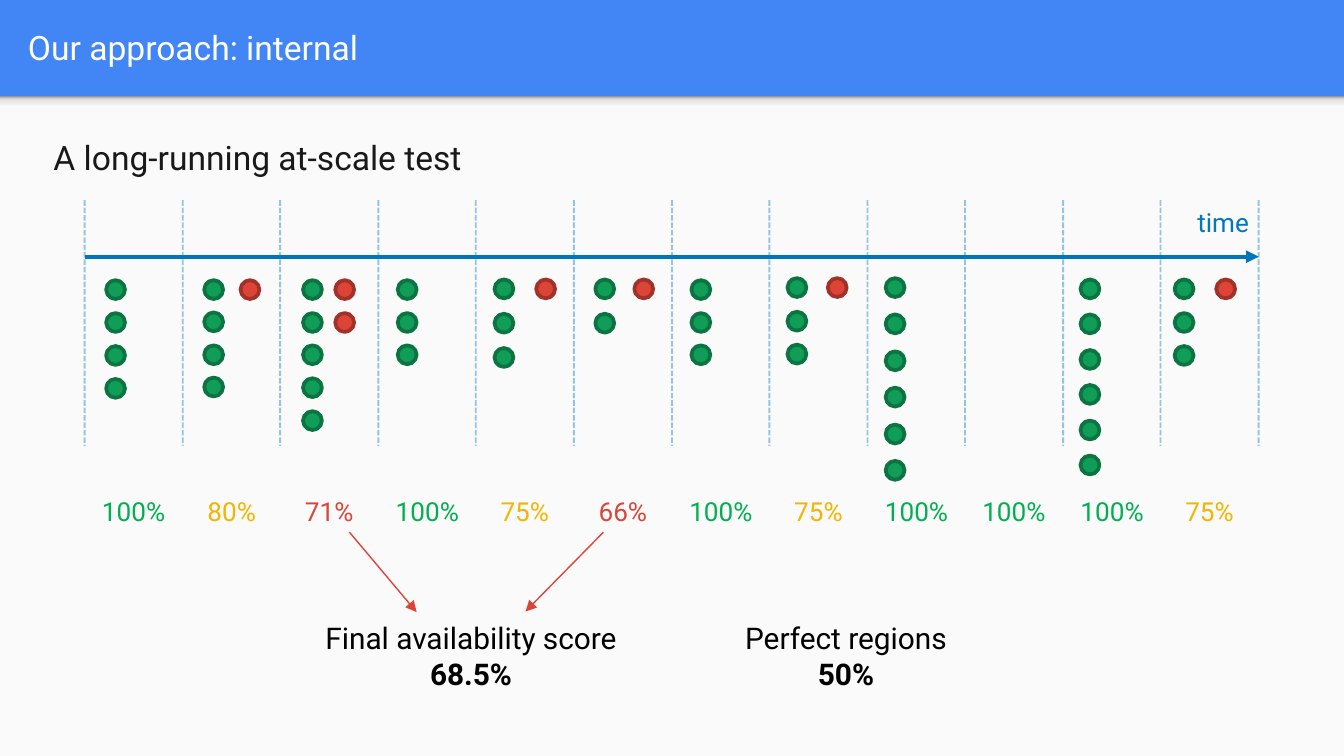
from dataclasses import dataclass

from lxml import etree
from pptx import Presentation
from pptx.dml.color import RGBColor
from pptx.enum.dml import MSO_LINE
from pptx.enum.shapes import MSO_CONNECTOR, MSO_SHAPE
from pptx.enum.text import MSO_ANCHOR, MSO_AUTO_SIZE, PP_ALIGN
from pptx.oxml.ns import qn
from pptx.shapes.autoshape import Shape
from pptx.shapes.connector import Connector
from pptx.slide import Slide
from pptx.util import Emu, Pt

RECTANGLE, OVAL = MSO_SHAPE.RECTANGLE, MSO_SHAPE.OVAL
STRAIGHT = MSO_CONNECTOR.STRAIGHT
DASH = MSO_LINE.SQUARE_DOT
LEFT, CENTER = PP_ALIGN.LEFT, PP_ALIGN.CENTER
TOP, MIDDLE = MSO_ANCHOR.TOP, MSO_ANCHOR.MIDDLE
FIT_SHAPE = MSO_AUTO_SIZE.SHAPE_TO_FIT_TEXT

EMU_PER_PX = 4572  # 200 px to the inch
SLIDE_WIDTH, SLIDE_HEIGHT = 2000, 1125
HEADER_HEIGHT = 143
TIMELINE_LEFT, TIMELINE_RIGHT, TIMELINE_Y = 126, 1873, 382
DIVIDER_TOP, DIVIDER_BOTTOM = 298, 664
DOT_SIZE = 28
SCORE_TOP, SCORE_HEIGHT = 728, 68


@dataclass(frozen=True)
class Theme:
    font: str = "Roboto"
    header: str = "4285F4"
    body: str = "FAFAFA"
    title: str = "FFFFFF"
    heading: str = "191919"
    result: str = "000000"
    axis: str = "0075BB"
    axis_label: str = "0277BD"
    passed: str = "0F9D58"
    passed_edge: str = "0B7441"
    failed: str = "DB4437"
    failed_edge: str = "A23229"
    perfect: str = "00B050"
    fair: str = "F4B400"
    shadow: tuple[tuple[int, str], ...] = (
        (0, "F9F9F9"), (36, "F9F9F9"), (80, "DEDEDE"), (100, "999999"))
    heading_size: int = 18
    result_size: int = 16
    label_size: int = 14


THEME = Theme()


@dataclass(frozen=True)
class Box:
    left: int
    top: int
    width: int
    height: int


@dataclass(frozen=True)
class Period:
    """One time slot: dots run evenly from first_top to last_top."""
    score: int
    passed_left: int = 0
    first_top: int = 0
    last_top: int = 0
    passed: int = 0
    failed_left: int = 0
    failed: int = 0


@dataclass(frozen=True)
class Result:
    caption: str
    value: str
    box: Box


PERIODS = (
    Period(100, 158, 417, 564, 4),
    Period(80, 304, 417, 562, 4, 358, 1),
    Period(71, 451, 417, 612, 5, 499, 2),
    Period(100, 592, 417, 514, 3),
    Period(75, 736, 416, 518, 3, 798, 1),
    Period(66, 886, 416, 467, 2, 944, 1),
    Period(100, 1029, 417, 514, 3),
    Period(75, 1172, 414, 513, 3, 1232, 1),
    Period(100, 1318, 414, 686, 6),
    Period(100),
    Period(100, 1608, 416, 678, 6),
    Period(75, 1748, 416, 515, 3, 1810, 1),
)
RESULTS = (
    Result("Final availability score", "68.5%", Box(460, 912, 482, 128)),
    Result("Perfect regions", "50%", Box(1086, 912, 346, 128)),
)
SCORE_ARROWS = (((520, 792), (620, 911)), ((898, 792), (782, 910)))


def px(length: int) -> Emu:
    return Emu(length * EMU_PER_PX)


def rgb(color: str) -> RGBColor:
    return RGBColor.from_string(color)


def add_block(slide: Slide, kind: MSO_SHAPE, box: Box, fill: str | None = None,
              edge: str | None = None) -> Shape:
    shape = slide.shapes.add_shape(kind, px(box.left), px(box.top),
                                   px(box.width), px(box.height))
    shape.shadow.inherit = False
    if fill:
        shape.fill.solid()
        shape.fill.fore_color.rgb = rgb(fill)
    if edge:
        shape.line.color.rgb = rgb(edge)
        shape.line.width = Pt(2)
    else:
        shape.line.fill.background()
    return shape


def add_header_shadow(slide: Slide) -> None:
    shape = add_block(slide, RECTANGLE, Box(0, HEADER_HEIGHT, SLIDE_WIDTH, 24))
    shape.fill.gradient()
    shape.fill.gradient_angle = 90
    stops = shape._element.spPr.find(qn("a:gradFill")).find(qn("a:gsLst"))
    for stop in list(stops):
        stops.remove(stop)
    for position, color in THEME.shadow:
        stop = etree.SubElement(stops, qn("a:gs"), pos=str(position * 1000))
        etree.SubElement(stop, qn("a:srgbClr"), val=color)


def add_line(slide: Slide, start: tuple[int, int], end: tuple[int, int],
             color: str, width: float) -> Connector:
    line = slide.shapes.add_connector(STRAIGHT, *map(px, start + end))
    line.line.color.rgb = rgb(color)
    line.line.width = Pt(width)
    etree.SubElement(line._element.spPr, qn("a:effectLst"))
    return line


def add_arrow(slide: Slide, start: tuple[int, int], end: tuple[int, int],
              color: str, width: float) -> None:
    arrow = add_line(slide, start, end, color, width)
    etree.SubElement(arrow.line._get_or_add_ln(), qn("a:tailEnd"), type="triangle")


def add_divider(slide: Slide, x: int) -> None:
    divider = add_line(slide, (x, DIVIDER_TOP), (x, DIVIDER_BOTTOM), THEME.axis, 1)
    divider.line.dash_style = DASH
    color = next(divider.line._get_or_add_ln().iter(qn("a:srgbClr")))
    etree.SubElement(color, qn("a:alpha"), val="40000")


def add_text(slide: Slide, box: Box, lines: tuple[str, ...], size: int, color: str,
             align: PP_ALIGN = LEFT, wrap: bool = False,
             anchor: MSO_ANCHOR = TOP) -> None:
    """Add a text box; any line after the first is bold."""
    frame = slide.shapes.add_textbox(px(box.left), px(box.top), px(box.width),
                                     px(box.height)).text_frame
    frame.word_wrap = wrap
    frame.vertical_anchor = anchor
    if anchor == TOP:
        frame.auto_size = FIT_SHAPE
    frame.text = "\n".join(lines)
    for index, paragraph in enumerate(frame.paragraphs):
        paragraph.alignment = align
        paragraph.font.name = THEME.font
        paragraph.font.size = Pt(size)
        paragraph.font.bold = index > 0
        paragraph.font.color.rgb = rgb(color)


def add_dots(slide: Slide, period: Period) -> None:
    pitch = (period.last_top - period.first_top) / max(period.passed - 1, 1)
    for left, count, fill, edge in (
            (period.passed_left, period.passed, THEME.passed, THEME.passed_edge),
            (period.failed_left, period.failed, THEME.failed, THEME.failed_edge)):
        for row in range(count):
            top = round(period.first_top + row * pitch)
            add_block(slide, OVAL, Box(left, top, DOT_SIZE, DOT_SIZE), fill, edge)


def score_color(score: int) -> str:
    if score == 100:
        return THEME.perfect
    return THEME.fair if score >= 75 else THEME.failed


def main() -> None:
    presentation = Presentation()
    presentation.slide_width, presentation.slide_height = px(SLIDE_WIDTH), px(SLIDE_HEIGHT)
    slide = presentation.slides.add_slide(presentation.slide_layouts[6])
    slide.background.fill.solid()
    slide.background.fill.fore_color.rgb = rgb(THEME.header)

    add_block(slide, RECTANGLE, Box(0, HEADER_HEIGHT, SLIDE_WIDTH,
                                    SLIDE_HEIGHT - HEADER_HEIGHT), THEME.body)
    add_header_shadow(slide)
    add_text(slide, Box(22, 4, 1930, 132), ("Our approach: internal",),
             THEME.heading_size, THEME.title, wrap=True, anchor=MIDDLE)
    add_text(slide, Box(60, 194, 654, 80), ("A long-running at-scale test",),
             THEME.heading_size, THEME.heading)

    add_arrow(slide, (TIMELINE_LEFT, TIMELINE_Y), (TIMELINE_RIGHT, TIMELINE_Y),
              THEME.axis, 2.25)
    add_text(slide, Box(1762, 298, 118, SCORE_HEIGHT), ("time",),
             THEME.label_size, THEME.axis_label)

    period_width = (TIMELINE_RIGHT - TIMELINE_LEFT) / len(PERIODS)
    edges = [round(TIMELINE_LEFT + index * period_width)
             for index in range(len(PERIODS) + 1)]
    for x in edges:
        add_divider(slide, x)
    for left, period in zip(edges, PERIODS):
        add_dots(slide, period)
        add_text(slide, Box(left, SCORE_TOP, round(period_width), SCORE_HEIGHT),
                 (f"{period.score}%",), THEME.label_size,
                 score_color(period.score), CENTER, wrap=True)

    for result in RESULTS:
        add_text(slide, result.box, (result.caption, result.value),
                 THEME.result_size, THEME.result, CENTER)
    for start, end in SCORE_ARROWS:
        add_arrow(slide, start, end, THEME.failed, 0.75)
    presentation.save("out.pptx")


if __name__ == "__main__":
    main()
